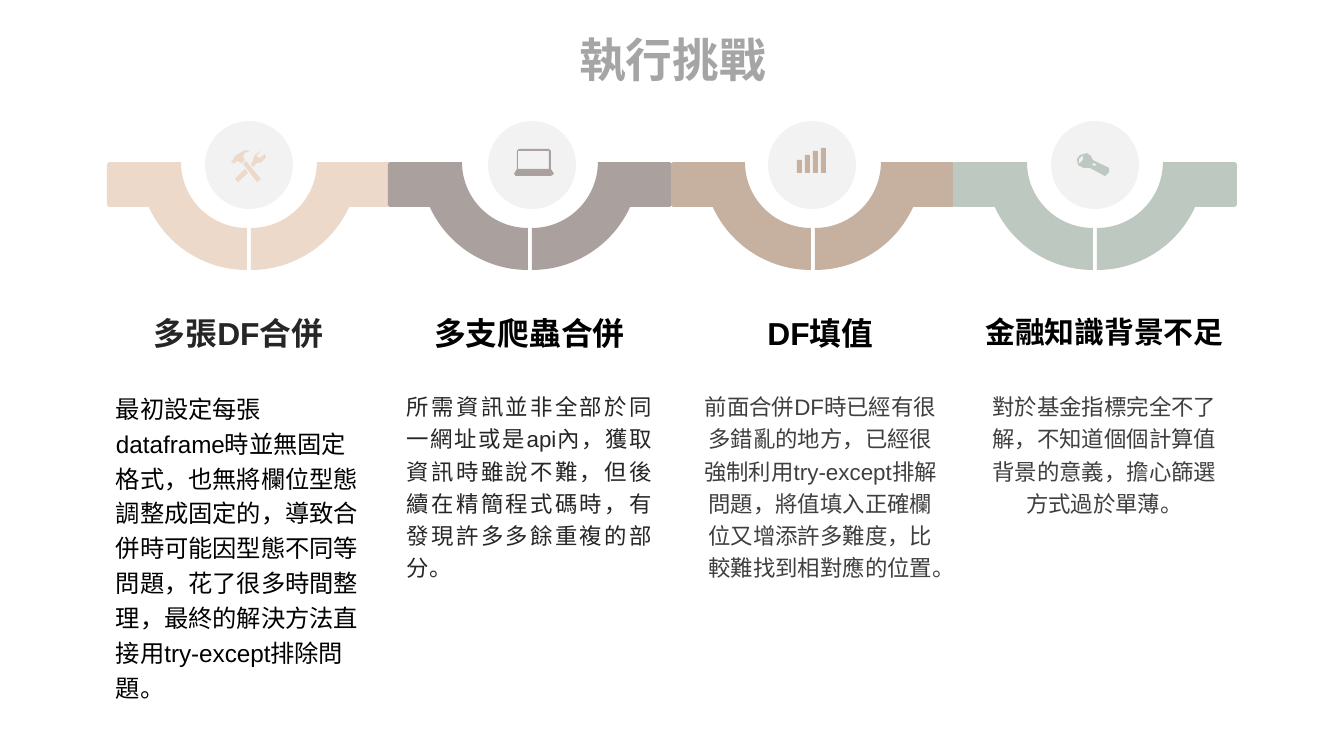
import math

from pptx import Presentation
from pptx import util as u
from pptx.dml.color import RGBColor
from pptx.enum import shapes, text

PX = 9144000 / 1344  # EMU per px
COLORS = {
    "peach": "ECD9CA", "mauve": "AAA09E", "tan": "C6B0A0", "sage": "BDC8C0",
    "disc": "F2F2F2", "title": "A5A5A5", "black": "000000",
    "ink": "262626", "grey": "3F3F3F",
}
LEFT, CENTER, JUSTIFY = (text.PP_ALIGN.LEFT, text.PP_ALIGN.CENTER, text.PP_ALIGN.JUSTIFY)

prs = Presentation()
prs.slide_width, prs.slide_height = u.Emu(9144000), u.Emu(round(756 * PX))
slide = prs.slides.add_slide(prs.slide_layouts[5])


def paint(shape, color):
    shape.shadow.inherit = False
    shape.fill.solid()
    shape.fill.fore_color.rgb = RGBColor.from_string(COLORS[color])
    shape.line.fill.background()


def write(shape, box, wording, size, color, bold=False, align=CENTER, spacing=None):
    shape.left, shape.top, shape.width, shape.height = [round(n * PX) for n in box]
    frame = shape.text_frame
    frame.text = wording
    frame.word_wrap = True
    frame.auto_size = text.MSO_AUTO_SIZE.NONE
    frame.margin_left = frame.margin_right = round(9 * PX)
    frame.margin_top = frame.margin_bottom = round(5 * PX)
    paragraph = frame.paragraphs[0]
    paragraph.alignment = align
    paragraph.line_spacing = spacing
    font = paragraph.runs[0].font
    font.name, font.size, font.bold = "Arial", u.Pt(size), bold
    font.color.rgb = RGBColor.from_string(COLORS[color])


# Title
title = slide.shapes.title
write(title, (411, 16, 523, 86), "執行挑戰", 25, "title", bold=True)
title.text_frame.vertical_anchor = text.MSO_ANCHOR.MIDDLE

# Challenges: seam x, disc centre x, colour, text left,
# heading (wording, size, colour), body (wording, size, colour, alignment)
challenges = [
    (249, 249, "peach", 107, ("多張DF合併", 17, "ink"),
     ("最初設定每張dataframe時並無固定格式，也無將欄位型態調整成固定的，導致合併時可能因型態不同等問題，"
      "花了很多時間整理，最終的解決方法直接用try-except排除問題。", 13, "black", LEFT)),
    (530, 532, "mauve", 398, ("多支爬蟲合併", 17, "black"),
     ("所需資訊並非全部於同一網址或是api內，獲取資訊時雖說不難，但後續在精簡程式碼時，"
      "有發現許多多餘重複的部分。", 12, "ink", JUSTIFY)),
    (813, 812, "tan", 689, ("DF填值", 17, "black"),
     ("前面合併DF時已經有很多錯亂的地方，已經很強制利用try-except排解問題，"
      "將值填入正確欄位又增添許多難度，比較難找到相對應的位置。", 12, "grey", CENTER)),
    (1095, 1095, "sage", 973, ("金融知識背景不足", 16, "black"),
     ("對於基金指標完全不了解，不知道個個計算值背景的意義，擔心篩選方式過於單薄。",
      12, "grey", CENTER)),
]

# Half of the ribbon, measured from the seam: band, outer arc, inner arc
TOP, BAND, OUTER, INNER = 162, 45, 108, 66
start = math.asin(BAND / OUTER)
outer_arc = [start + (math.pi / 2 - start) * i / 24 for i in range(25)]
inner_arc = [math.pi / 2 * (1 - i / 24) for i in range(25)]
half = [(INNER, 0), (138, 0), (140, 2), (140, BAND - 2), (138, BAND)]
half += [(OUTER * math.cos(a), OUTER * math.sin(a)) for a in outer_arc]
half += [(INNER * math.cos(a), INNER * math.sin(a)) for a in inner_arc]

for seam, disc_x, color, left, heading, body in challenges:
    for side in (1, -1):
        points = [((seam + side * (x + 2)) * PX, (TOP + y) * PX) for x, y in half]
        ribbon = slide.shapes.build_freeform(*points[0])
        ribbon.add_line_segments(points[1:])
        paint(ribbon.convert_to_shape(), color)
    disc = slide.shapes.add_shape(
        shapes.MSO_SHAPE.OVAL, *[round(n * PX) for n in (disc_x - 44, 121, 88, 88)])
    paint(disc, "disc")
    heading_box = slide.shapes.add_textbox(0, 0, 0, 0)
    write(heading_box, (left, 309, 263, 47), *heading, bold=True)
    wording, size, ink, align = body
    body_box = slide.shapes.add_textbox(0, 0, 0, 0)
    write(body_box, (left, 383, 263, 335), wording, size, ink, align=align, spacing=1.2)

# Icons, each a list of closed contours
tools = [
    [(235, 179), (238, 182), (248, 173), (245, 169)],
    [(265, 154), (260, 158), (256, 156), (260, 152), (260, 151), (254, 156), (253, 161),
     (251, 164), (253, 167), (257, 163), (260, 163), (264, 160), (266, 157)],
    [(246, 161), (243, 164), (257, 182), (261, 179)],
    [(237, 161), (241, 163), (242, 163), (245, 160), (243, 157), (245, 153), (250, 151),
     (245, 150), (238, 154), (235, 156), (233, 160), (231, 161), (234, 164), (236, 162)],
]
laptop = [
    [(514, 174), (517, 169), (517, 151), (519, 149), (549, 149), (551, 151),
     (551, 169), (554, 174), (551, 176), (516, 176)],
    [(518, 151), (518, 169), (549, 169), (549, 151)],
]
flashlight = [
    [(1077, 159), (1080, 155), (1087, 153), (1091, 156), (1093, 160), (1109, 168),
     (1109, 172), (1105, 176), (1090, 168), (1084, 168), (1078, 165)],
    [(1083, 155), (1079, 159), (1079, 164), (1083, 160)],
    [(1097, 165), (1094, 163), (1092, 164), (1094, 166)],
]
for contours, color in ((tools, "peach"), (laptop, "mauve"), (flashlight, "sage")):
    scaled = [[(x * PX, y * PX) for x, y in contour] for contour in contours]
    icon = slide.shapes.build_freeform(*scaled[0][0])
    icon.add_line_segments(scaled[0][1:])
    for contour in scaled[1:]:
        icon.move_to(*contour[0])
        icon.add_line_segments(contour[1:])
    paint(icon.convert_to_shape(), color)

# Rising bars of the third icon
for i, top in enumerate((160, 155, 151, 148)):
    bar = slide.shapes.add_shape(
        shapes.MSO_SHAPE.RECTANGLE, *[round(n * PX) for n in (797 + 8 * i, top, 5, 173 - top)])
    paint(bar, "tan")

prs.save("out.pptx")
